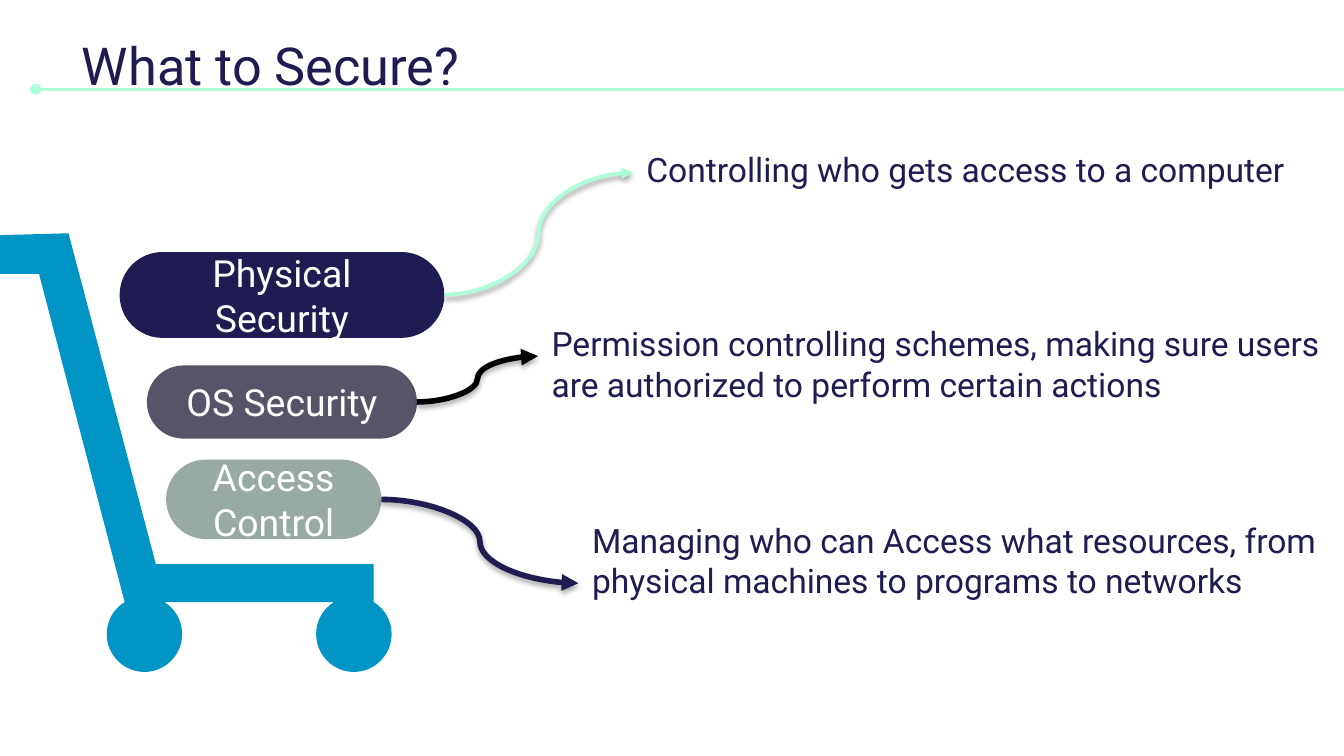
from lxml import etree
from pptx import Presentation
from pptx.dml.color import RGBColor
from pptx.enum.shapes import MSO_CONNECTOR, MSO_SHAPE
from pptx.enum.text import MSO_ANCHOR, MSO_AUTO_SIZE, PP_ALIGN
from pptx.oxml.ns import qn
from pptx.util import Pt

STRAIGHT = MSO_CONNECTOR.STRAIGHT
CURVE = MSO_CONNECTOR.CURVE
PILL = MSO_SHAPE.ROUNDED_RECTANGLE
TOP, MIDDLE, BOTTOM = MSO_ANCHOR.TOP, MSO_ANCHOR.MIDDLE, MSO_ANCHOR.BOTTOM
LEFT, CENTER = PP_ALIGN.LEFT, PP_ALIGN.CENTER
FIXED_SIZE = MSO_AUTO_SIZE.NONE

FONT = "Roboto"
NAVY, MINT, BLUE, WHITE, BLACK = "1F1C51", "ACFFD9", "0095C5", "FFFFFF", "000000"
INSET = 7.2
WHEEL_Y = 339.8
RIGHT_HALF_WHEEL = [
    (10.6, -17.2), (16.5, -13.6), (20.2, -7.3), (20.2, 0),
    (20.2, 11.1), (11.1, 20.2), (0, 20.2),
]
CURVE_STARTS = [*range(2, 14, 3), *range(15, 27, 3)]

PILLS = [
    ("Physical Security", (64.1, 135, 174, 46), NAVY, 100),
    ("OS Security", (78.7, 195.8, 144.7, 39.2), "0F0E28", 70),
    ("Access Control", (89, 246.2, 115.3, 42.6), "002B17", 40),
]
DEFINITIONS = [
    (["Controlling who gets access to a computer"], (339.2, 76.3, 407.5, 32.4)),
    (["Permission controlling schemes, making sure users",
      "are authorized to perform certain actions"], (288.4, 158, 458.6, 65.5)),
    (["Managing who can Access what resources, from",
      "physical machines to programs to networks"], (310.1, 296.3, 415.4, 32.4)),
]
ARROWS = [
    ((204.3, 267.6), (309.9, 312.5), NAVY, 3, 35),
    ((238.1, 157.9), (339, 92.5), MINT, 2, 38),
    ((223.4, 215.4), (288.2, 190.8), BLACK, 3, 35),
]


def color(value):
    return RGBColor.from_string(value)


def points(values):
    return [Pt(value) for value in values]


def write_text(shape, lines, size, value, align, anchor):
    frame = shape.text_frame
    frame.word_wrap = True
    frame.auto_size = FIXED_SIZE
    frame.vertical_anchor = anchor
    frame.margin_left = frame.margin_right = Pt(INSET)
    frame.text = "\n".join(lines)
    for paragraph in frame.paragraphs:
        paragraph.alignment = align
        paragraph.font.name = FONT
        paragraph.font.size = Pt(size)
        paragraph.font.color.rgb = color(value)


def set_vertical_inset(shape):
    shape.text_frame.margin_top = shape.text_frame.margin_bottom = Pt(INSET)


def add_title(slide, text, area):
    title = slide.shapes.title
    title.left, title.top, title.width, title.height = points(area)
    write_text(title, [text], 28, NAVY, LEFT, TOP)
    set_vertical_inset(title)


def add_definition(slide, lines, area):
    box = slide.shapes.add_textbox(*points(area))
    write_text(box, lines, 18, NAVY, LEFT, BOTTOM)
    set_vertical_inset(box)


def paint(shape, value, opacity=100):
    shape.shadow.inherit = False
    shape.fill.solid()
    shape.fill.fore_color.rgb = color(value)
    shape.line.fill.background()
    if opacity < 100:
        fill_color = shape.element.spPr.find(".//" + qn("a:srgbClr"))
        etree.SubElement(fill_color, qn("a:alpha"), val=str(opacity * 1000))


def add_pill(group, text, area, value, opacity):
    pill = group.shapes.add_shape(PILL, *points(area))
    pill.adjustments[0] = 0.5
    paint(pill, value, opacity)
    write_text(pill, [text], 20, WHITE, CENTER, MIDDLE)


def wheel_outline(center_x):
    left_half = [(-x, y) for x, y in reversed(RIGHT_HALF_WHEEL[:-1])]
    return [(center_x + x, WHEEL_Y + y) for x, y in RIGHT_HALF_WHEEL + left_half]


def bend_segments(shape, starts):
    outline = shape.element.spPr.find(".//" + qn("a:path"))
    segments = outline.findall(qn("a:lnTo"))
    for start in starts:
        bend = etree.Element(qn("a:cubicBezTo"))
        segments[start].addprevious(bend)
        for segment in segments[start:start + 3]:
            bend.append(segment[0])
            outline.remove(segment)


def add_cart(group):
    outline = [(200.2, 302.2), *wheel_outline(189.6), *wheel_outline(77.4),
               (20.9, 146.7), (0, 146.7), (0, 126), (36.7, 125)]
    builder = group.shapes.build_freeform(Pt(83.5), Pt(302.2))
    builder.add_line_segments([points(corner) for corner in outline], close=True)
    cart = builder.convert_to_shape()
    bend_segments(cart, CURVE_STARTS)
    paint(cart, BLUE)


def add_line(slide, kind, start, end, value, width):
    line = slide.shapes.add_connector(kind, *points(start + end))
    line.line.color.rgb = color(value)
    line.line.width = Pt(width)
    effects = etree.SubElement(line.element.spPr, qn("a:effectLst"))
    return line.element.spPr.find(qn("a:ln")), effects


def add_header_line(slide):
    outline, _ = add_line(slide, STRAIGHT, (19.1, 47.8), (727.2, 47.8), MINT, 1.5)
    etree.SubElement(outline, qn("a:headEnd"), type="oval")


def add_arrow(slide, start, end, value, width, shadow_opacity):
    outline, effects = add_line(slide, CURVE, start, end, value, width)
    etree.SubElement(outline, qn("a:tailEnd"), type="triangle")
    shadow = etree.SubElement(effects, qn("a:outerShdw"), blurRad=str(Pt(3.1)),
                              dist=str(Pt(1.8)), dir="5400000", rotWithShape="0")
    shade = etree.SubElement(shadow, qn("a:srgbClr"), val=BLACK)
    etree.SubElement(shade, qn("a:alpha"), val=str(shadow_opacity * 1000))


def main():
    deck = Presentation()
    deck.slide_width, deck.slide_height = Pt(720), Pt(405)
    slide = deck.slides.add_slide(deck.slide_layouts[5])
    add_header_line(slide)
    add_title(slide, "What to Secure?", (36.7, 10.8, 478.8, 42.5))
    cart = slide.shapes.add_group_shape()
    add_cart(cart)
    for pill in PILLS:
        add_pill(cart, *pill)
    for definition in DEFINITIONS:
        add_definition(slide, *definition)
    for arrow in ARROWS:
        add_arrow(slide, *arrow)
    deck.save("out.pptx")


if __name__ == "__main__":
    main()
